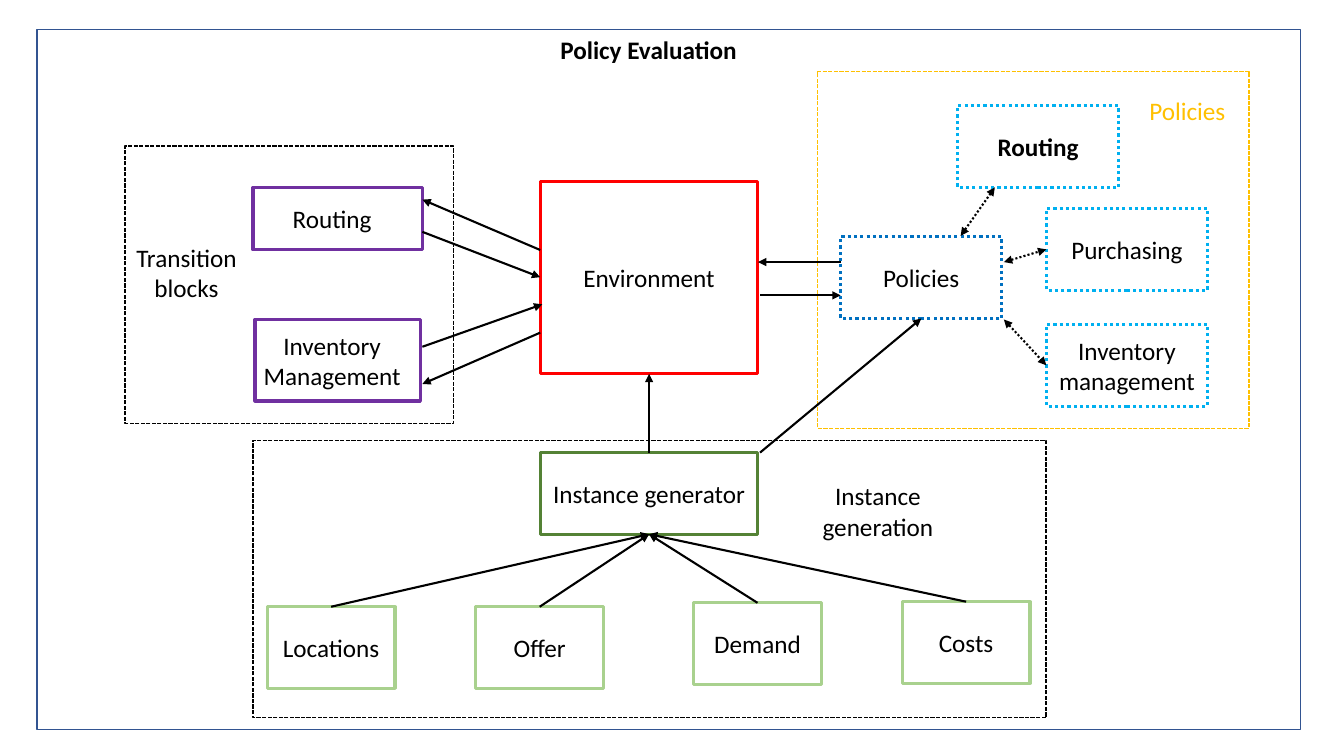
from dataclasses import dataclass

from lxml import etree
from pptx import Presentation
from pptx.dml.color import RGBColor
from pptx.enum.dml import MSO_LINE
from pptx.enum.shapes import MSO_CONNECTOR, MSO_SHAPE
from pptx.enum.text import MSO_ANCHOR, MSO_AUTO_SIZE, PP_ALIGN
from pptx.oxml.ns import qn
from pptx.util import Pt

RECTANGLE = MSO_SHAPE.RECTANGLE
STRAIGHT = MSO_CONNECTOR.STRAIGHT
DOTTED = MSO_LINE.ROUND_DOT
DASHED = MSO_LINE.SQUARE_DOT
CENTER = PP_ALIGN.CENTER
MIDDLE = MSO_ANCHOR.MIDDLE
FIXED_SIZE = MSO_AUTO_SIZE.NONE
TITLE_ONLY = 5
TOP, LEFT, BOTTOM = 0, 1, 2

BLACK, RED, PURPLE = "000000", "FF0000", "7030A0"
GREEN, PALE_GREEN = "548235", "A9D18E"
BLUE, SKY, NAVY, AMBER = "0070C0", "00B0F0", "325491", "FFC000"
BLOCK_HEIGHT = 58.3


@dataclass(frozen=True)
class Area:
    left: float
    top: float
    width: float
    height: float = BLOCK_HEIGHT


@dataclass(frozen=True)
class Block:
    key: str
    text: str
    area: Area
    color: str
    dash: MSO_LINE | None = None
    bold: bool = False
    insets: tuple[float, float] = (7.2, 7.2)


@dataclass(frozen=True)
class Frame:
    area: Area
    color: str
    dash: MSO_LINE | None = DASHED


@dataclass(frozen=True)
class Label:
    text: str
    left: float
    top: float
    color: str = BLACK


@dataclass(frozen=True)
class Site:
    key: str
    side: int


@dataclass(frozen=True)
class Arrow:
    start: Site | tuple[float, float]
    end: Site | tuple[float, float]
    two_way: bool = False


INPUTS = [
    Block(name, name, Area(left, top, 91.4), PALE_GREEN)
    for name, left, top in [
        ("Locations", 190.8, 433.4),
        ("Offer", 339.8, 433.4),
        ("Demand", 495.4, 430.6),
        ("Costs", 644.4, 429.8),
    ]
]
BLOCKS = INPUTS + [
    Block("environment", "Environment", Area(385.9, 129.6, 155.5, 137.5), RED),
    Block("generator", "Instance generator", Area(385.9, 323.3, 155.5), GREEN),
    Block("inventory block", "Inventory Management", Area(182.2, 228.2, 118.1),
          PURPLE, insets=(3, 11)),
    Block("routing block", "Routing", Area(180.7, 133.9, 121, 44.6),
          PURPLE, insets=(3, 11)),
    Block("policies", "Policies", Area(600.5, 169.2, 115.2), BLUE, DOTTED),
    Block("routing policy", "Routing", Area(684, 75.6, 115.2), SKY, DOTTED, bold=True),
    Block("purchasing policy", "Purchasing", Area(747.4, 149, 115.2), SKY, DOTTED),
    Block("inventory policy", "Inventory management", Area(747.4, 231.8, 115.2),
          SKY, DOTTED),
]
FRAMES = [
    Frame(Area(26.6, 20.9, 902.2, 500.4), NAVY, None),
    Frame(Area(180.7, 314.6, 566.6, 198), BLACK),
    Frame(Area(89.3, 104.4, 234.7, 198), BLACK),
    Frame(Area(583.9, 51.1, 308.2, 254.9), AMBER),
]
LABELS = [
    Label("Transition blocks", 74.2, 168.5),
    Label("Instance generation", 568.1, 339.1),
    Label("Policies", 789.1, 52.6, AMBER),
]
ARROWS = [Arrow(Site(block.key, TOP), Site("generator", BOTTOM)) for block in INPUTS] + [
    Arrow(Site("generator", TOP), Site("environment", BOTTOM)),
    Arrow((542.9, 323.3), Site("policies", BOTTOM)),
    Arrow((385.9, 178.6), (301.7, 142.6)),
    Arrow((301.7, 165.6), (385.9, 198)),
    Arrow((301.7, 247.7), (387.4, 217.4)),
    Arrow((385.9, 237.6), (301.7, 274.3)),
    Arrow((600.5, 187.2), (541.4, 187.2)),
    Arrow((542.9, 211), (600.5, 211)),
    Arrow((686.2, 168.5), (710.6, 133.9), two_way=True),
    Arrow((717.1, 187.2), Site("purchasing policy", LEFT), two_way=True),
    Arrow((717.1, 228.2), Site("inventory policy", LEFT), two_way=True),
]


def rgb(color: str) -> RGBColor:
    return RGBColor.from_string(color)


def bounds(area: Area) -> tuple[Pt, Pt, Pt, Pt]:
    return Pt(area.left), Pt(area.top), Pt(area.width), Pt(area.height)


def write(shape, text: str, *, color: str = BLACK, bold: bool = False,
          insets: tuple[float, float] = (7.2, 7.2)) -> None:
    frame = shape.text_frame
    frame.word_wrap = True
    frame.auto_size = FIXED_SIZE
    frame.vertical_anchor = MIDDLE
    frame.margin_left, frame.margin_right = map(Pt, insets)
    frame.margin_top = frame.margin_bottom = Pt(3.6)
    paragraph = frame.paragraphs[0]
    paragraph.alignment = CENTER
    run = paragraph.add_run()
    run.text = text
    run.font.name = "Calibri"
    run.font.size = Pt(18)
    run.font.bold = bold
    run.font.color.rgb = rgb(color)


def set_line(line, color: str, width: float, dash: MSO_LINE | None) -> None:
    line.color.rgb = rgb(color)
    line.width = Pt(width)
    if dash is not None:
        line.dash_style = dash


def draw_outline(slide, area: Area, color: str, width: float, dash: MSO_LINE | None):
    outline = slide.shapes.add_shape(RECTANGLE, *bounds(area))
    outline.shadow.inherit = False
    outline.fill.background()
    set_line(outline.line, color, width, dash)
    return outline


def draw_block(slide, block: Block):
    outline = draw_outline(slide, block.area, block.color, 2.25, block.dash)
    write(outline, block.text, bold=block.bold, insets=block.insets)
    return outline


def draw_label(slide, label: Label) -> None:
    area = Area(label.left, label.top, 118.1, 51.8)
    write(slide.shapes.add_textbox(*bounds(area)), label.text, color=label.color)


def draw_arrow(slide, arrow: Arrow, drawn: dict) -> None:
    start, end = (
        (0, 0) if isinstance(point, Site) else point for point in (arrow.start, arrow.end)
    )
    connector = slide.shapes.add_connector(STRAIGHT, *map(Pt, (*start, *end)))
    if isinstance(arrow.start, Site):
        connector.begin_connect(drawn[arrow.start.key], arrow.start.side)
    if isinstance(arrow.end, Site):
        connector.end_connect(drawn[arrow.end.key], arrow.end.side)
    set_line(connector.line, BLACK, 1.5, DOTTED if arrow.two_way else None)
    properties = connector.element.spPr
    line = properties.find(qn("a:ln"))
    for tip in ("a:headEnd", "a:tailEnd") if arrow.two_way else ("a:tailEnd",):
        etree.SubElement(line, qn(tip), type="triangle")
    etree.SubElement(properties, qn("a:effectLst"))


def main() -> None:
    deck = Presentation()
    deck.slide_width, deck.slide_height = Pt(960), Pt(540)
    slide = deck.slides.add_slide(deck.slide_layouts[TITLE_ONLY])
    title = slide.shapes.title
    title.left, title.top, title.width, title.height = bounds(Area(368.6, 9.4, 189.4, 51.8))
    write(title, "Policy Evaluation", bold=True)
    for frame in FRAMES:
        draw_outline(slide, frame.area, frame.color, 1, frame.dash)
    drawn = {block.key: draw_block(slide, block) for block in BLOCKS}
    for label in LABELS:
        draw_label(slide, label)
    for arrow in ARROWS:
        draw_arrow(slide, arrow, drawn)
    deck.save("out.pptx")


if __name__ == "__main__":
    main()
